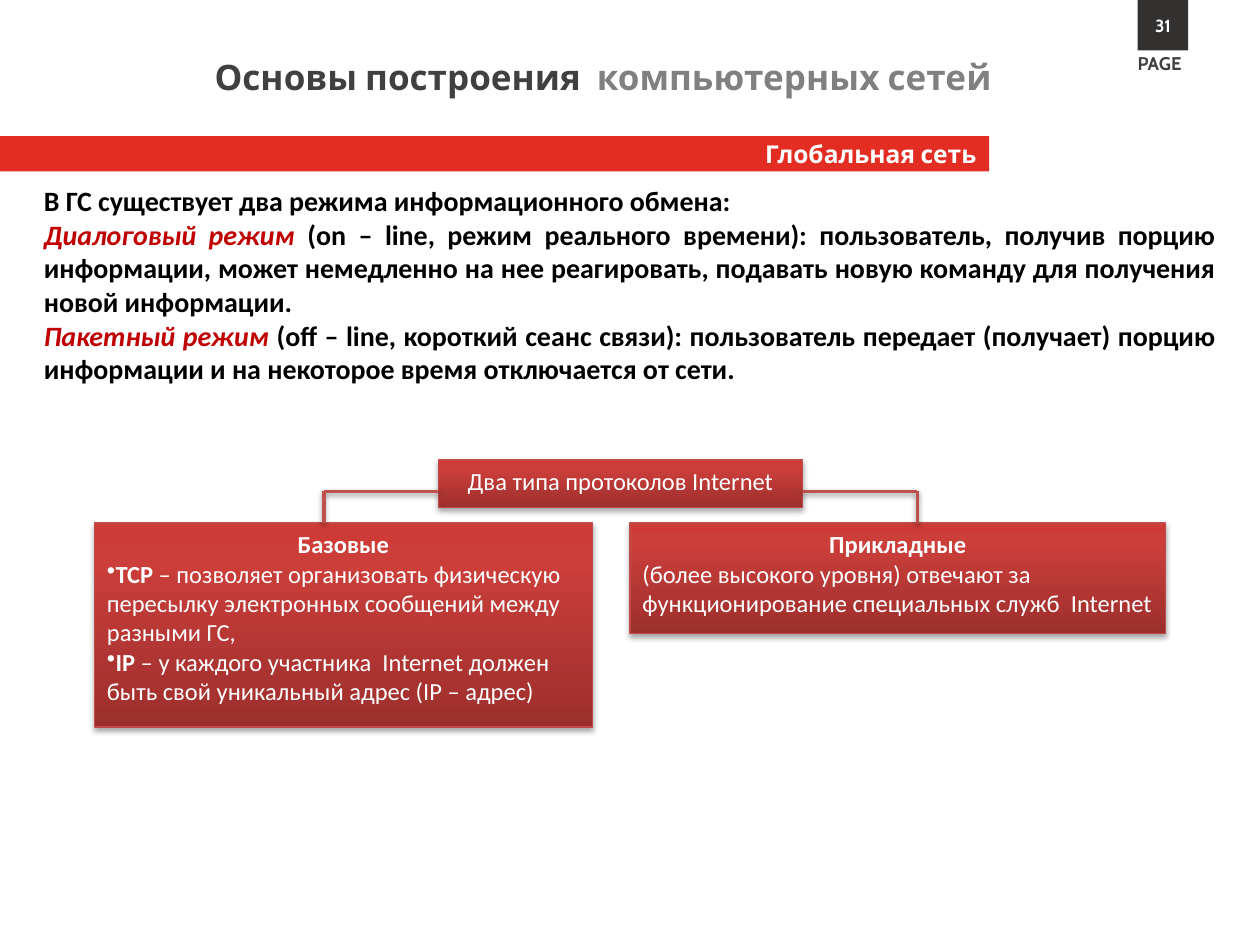
"""Build the slide on global network modes and Internet protocol types."""
from copy import deepcopy

from lxml import etree
from pptx import Presentation
from pptx.dml.color import RGBColor
from pptx.enum import shapes, text
from pptx.oxml import ns
from pptx.util import Inches, Pt

RED = RGBColor(0xE3, 0x2C, 0x22)
CHARCOAL = RGBColor(0x33, 0x30, 0x30)
DARK_GREY = RGBColor(0x40, 0x40, 0x40)
GREY = RGBColor(0x80, 0x80, 0x80)
CRIMSON = RGBColor(0xC0, 0x00, 0x00)
BLACK = RGBColor(0, 0, 0)
WHITE = RGBColor(0xFF, 0xFF, 0xFF)
BORDER = RGBColor(0xBF, 0x4C, 0x48)
LINK = RGBColor(0xC0, 0x50, 0x4D)
GRADIENT = [
    (0, RGBColor(0x9C, 0x2F, 0x2D)),
    (0.8, RGBColor(0xCB, 0x3E, 0x3A)),
    (1, RGBColor(0xCE, 0x3B, 0x37)),
]
LEFT, CENTER = text.PP_ALIGN.LEFT, text.PP_ALIGN.CENTER
RIGHT, JUSTIFY = text.PP_ALIGN.RIGHT, text.PP_ALIGN.JUSTIFY


def cast_shadow(item, alpha, distance):
    effects = etree.SubElement(item._element.spPr, ns.qn("a:effectLst"))
    shadow = etree.SubElement(
        effects, ns.qn("a:outerShdw"), blurRad=str(Pt(3.1)),
        dist=str(Pt(distance)), dir="5400000", rotWithShape="0")
    color = etree.SubElement(shadow, ns.qn("a:srgbClr"), val="000000")
    etree.SubElement(color, ns.qn("a:alpha"), val=str(alpha * 1000))


def write(para, words, size, color, align, font="Calibri", bold=None):
    para.alignment = align
    para.font.name, para.font.size = font, Pt(size)
    para.font.bold, para.font.color.rgb = bold, color
    spans = []
    for word in words:
        span = para.add_run()
        span.text = word
        spans.append(span)
    return spans


deck = Presentation()
deck.slide_width, deck.slide_height = Inches(10), Inches(7.5)
page = deck.slides.add_slide(deck.slide_layouts[0])

banner = page.placeholders[1]
title = page.shapes.title
page_label = page.shapes.add_textbox(0, 0, 0, 0)
page_badge = page.shapes.add_shape(shapes.MSO_SHAPE.RECTANGLE, 0, 0, 0, 0)
page_badge.shadow.inherit = False
page_badge.line.fill.background()
for box, fill in [(banner, RED), (page_badge, CHARCOAL)]:
    box.fill.solid()
    box.fill.fore_color.rgb = fill

headings = [
    (banner, (0, 1.08, 7.85, 0.28), ["Глобальная сеть"], 14, WHITE, RIGHT),
    (title, (0.15, 0.39, 7.82, 0.44),
     ["Основы построения  ", "компьютерных сетей"], 20, DARK_GREY, RIGHT),
    (page_label, (8.93, 0.36, 0.59, 0.28), ["PAGE"], 10.5, DARK_GREY, LEFT),
    (page_badge, (9.03, 0, 0.4, 0.4), ["31"], 10, WHITE, CENTER),
]
for box, place, words, size, color, align in headings:
    box.left, box.top, box.width, box.height = map(Inches, place)
    frame = box.text_frame
    frame.auto_size = text.MSO_AUTO_SIZE.NONE
    frame.word_wrap = box is not page_label
    frame.vertical_anchor = text.MSO_ANCHOR.MIDDLE
    para = frame.paragraphs[0]
    para.space_before = Pt(0)
    spans = write(para, words, size, color, align, "Cabin", True)
    if box is title:
        spans[1].font.color.rgb = GREY

modes = [
    ["В ГС существует два режима информационного обмена:"],
    ["Диалоговый режим ",
     "(on – line, режим реального времени): пользователь, получив порцию "
     "информации, может немедленно на нее реагировать, подавать новую "
     "команду для получения новой информации."],
    ["Пакетный режим ",
     "(off – line, короткий сеанс связи): пользователь передает (получает) "
     "порцию информации и на некоторое время отключается от сети."],
]
body = page.shapes.add_textbox(Inches(0.25), Inches(1.41), Inches(9.5), Inches(1.72))
frame = body.text_frame
frame.word_wrap = True
for index, words in enumerate(modes):
    para = frame.add_paragraph() if index else frame.paragraphs[0]
    spans = write(para, words, 16, BLACK, JUSTIFY, bold=True)
    if len(spans) > 1:
        spans[0].font.italic = True
        spans[0].font.color.rgb = CRIMSON

protocols = [
    ((3.48, 3.65, 2.89, 0.38), [(CENTER, False, ["", "Два типа протоколов Internet"])]),
    ((0.75, 4.15, 3.95, 1.62), [
        (CENTER, False, ["Базовые"]),
        (LEFT, True, ["ТСР ", "– позволяет организовать физическую пересылку "
                      "электронных сообщений между разными ГС,"]),
        (LEFT, True, ["IP", " – у каждого участника  Internet должен быть свой "
                      "уникальный адрес (IP – адрес)"]),
    ]),
    ((5, 4.15, 4.25, 0.88), [
        (CENTER, False, ["Прикладные"]),
        (LEFT, False, ["", "(более высокого уровня) отвечают за "
                       "функционирование специальных служб  Internet"]),
    ]),
]
for place, paragraphs in protocols:
    box = page.shapes.add_shape(shapes.MSO_SHAPE.RECTANGLE, *map(Inches, place))
    box.fill.gradient()
    box.fill.gradient_angle = 90
    stop_list = box._element.spPr.find(".//" + ns.qn("a:gsLst"))
    stop_list.append(deepcopy(stop_list[-1]))
    for stop, (position, color) in zip(box.fill.gradient_stops, GRADIENT):
        stop.position, stop.color.rgb = position, color
    box.line.color.rgb, box.line.width = BORDER, Pt(0.75)
    cast_shadow(box, 35, 1.8)
    frame = box.text_frame
    frame.word_wrap = True
    frame.vertical_anchor = text.MSO_ANCHOR.TOP
    for index, (align, bulleted, (term, *details)) in enumerate(paragraphs):
        para = frame.add_paragraph() if index else frame.paragraphs[0]
        if bulleted:
            etree.SubElement(para._p.get_or_add_pPr(), ns.qn("a:buChar"), char="•")
        words = [term, *details] if term else details
        spans = write(para, words, 14, WHITE, align)
        if term:
            spans[0].font.bold = True

for parent_x, child_x in [(3.48, 2.57), (6.37, 7.28)]:
    for start, end in [((parent_x, 3.9), (child_x, 3.9)),
                       ((child_x, 3.9), (child_x, 4.15))]:
        link = page.shapes.add_connector(
            shapes.MSO_CONNECTOR.STRAIGHT, *map(Inches, start + end))
        link.line.color.rgb, link.line.width = LINK, Pt(2)
        cast_shadow(link, 38, 1.6)

deck.save("out.pptx")
